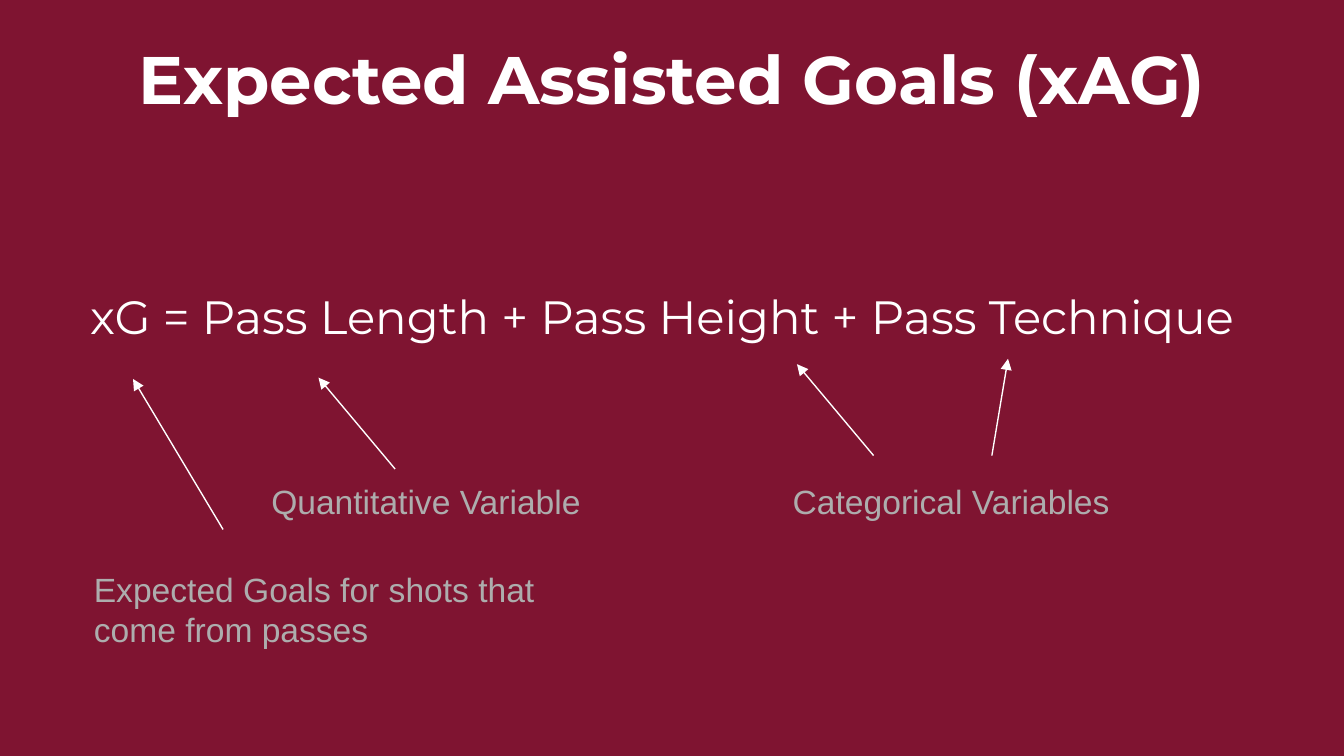
from lxml import etree
from pptx import Presentation
from pptx.dml.color import RGBColor
from pptx.enum.shapes import MSO_CONNECTOR
from pptx.enum.text import MSO_ANCHOR, MSO_AUTO_SIZE, PP_ALIGN
from pptx.oxml.ns import qn
from pptx.util import Emu, Pt

PX = 9144  # 100 px to the inch
COLORS = {"background": "7F1431", "main": "FFFFFF", "note": "ADADAD"}


def px(length):
    return Emu(length * PX)


def color(name):
    return RGBColor.from_string(COLORS[name])


class FormulaSlide:
    heading_font = "Montserrat"
    note_font = "Arial"
    inset = 10

    def __init__(self, presentation):
        self.slide = presentation.slides.add_slide(presentation.slide_layouts[5])
        fill = self.slide.background.fill
        fill.solid()
        fill.fore_color.rgb = color("background")

    def set_text(self, shape, text, font, size, ink, bold=False,
                 align=PP_ALIGN.LEFT, left_inset=inset):
        """Fill a shape's frame with one top-anchored paragraph."""
        frame = shape.text_frame
        frame.word_wrap = True
        frame.auto_size = MSO_AUTO_SIZE.NONE
        frame.vertical_anchor = MSO_ANCHOR.TOP
        frame.margin_left = px(left_inset)
        frame.margin_top = frame.margin_right = frame.margin_bottom = px(self.inset)
        frame.text = text
        paragraph = frame.paragraphs[0]
        paragraph.alignment = align
        paragraph.font.name = font
        paragraph.font.size = Pt(size)
        paragraph.font.bold = bold
        paragraph.font.color.rgb = color(ink)

    def title(self, text, left, top, width, height):
        heading = self.slide.shapes.title
        heading.left, heading.top = px(left), px(top)
        heading.width, heading.height = px(width), px(height)
        self.set_text(heading, text, self.heading_font, 36, "main",
                      bold=True, align=PP_ALIGN.CENTER)

    def text_box(self, left, top, width, height):
        return self.slide.shapes.add_textbox(px(left), px(top), px(width), px(height))

    def formula(self, text, left, top, width, height):
        self.set_text(self.text_box(left, top, width, height), text,
                      self.heading_font, 25, "main", left_inset=60)

    def note(self, text, left, top, width, height):
        self.set_text(self.text_box(left, top, width, height), text,
                      self.note_font, 18, "note")

    def arrow(self, start, end):
        connector = self.slide.shapes.add_connector(
            MSO_CONNECTOR.STRAIGHT, *map(px, start + end))
        connector.line.color.rgb = color("main")
        connector.line.width = Pt(0.75)
        properties = connector.line._get_or_add_ln()
        etree.SubElement(properties, qn("a:tailEnd"), type="triangle", w="med", len="med")
        etree.SubElement(connector._element.spPr, qn("a:effectLst"))


def main():
    presentation = Presentation()
    presentation.slide_width, presentation.slide_height = px(1000), Emu(5143500)

    slide = FormulaSlide(presentation)
    slide.title("Expected Assisted Goals (xAG)", 85, 18, 830, 75)
    slide.formula("xG = Pass Length + Pass Height + Pass Technique", 7, 204, 965, 364)

    slide.note("Expected Goals for shots that come from passes", 60, 413, 411, 81)
    for variable, left in (("Quantitative Variable", 192), ("Categorical Variables", 580)):
        slide.note(variable, left, 348, 262, 50)

    for start, end in (
        ((166, 394), (99, 282)),
        ((294, 349), (237, 281)),
        ((650, 339), (593, 271)),
        ((738, 339), (750, 267)),
    ):
        slide.arrow(start, end)

    presentation.save("out.pptx")


if __name__ == "__main__":
    main()
